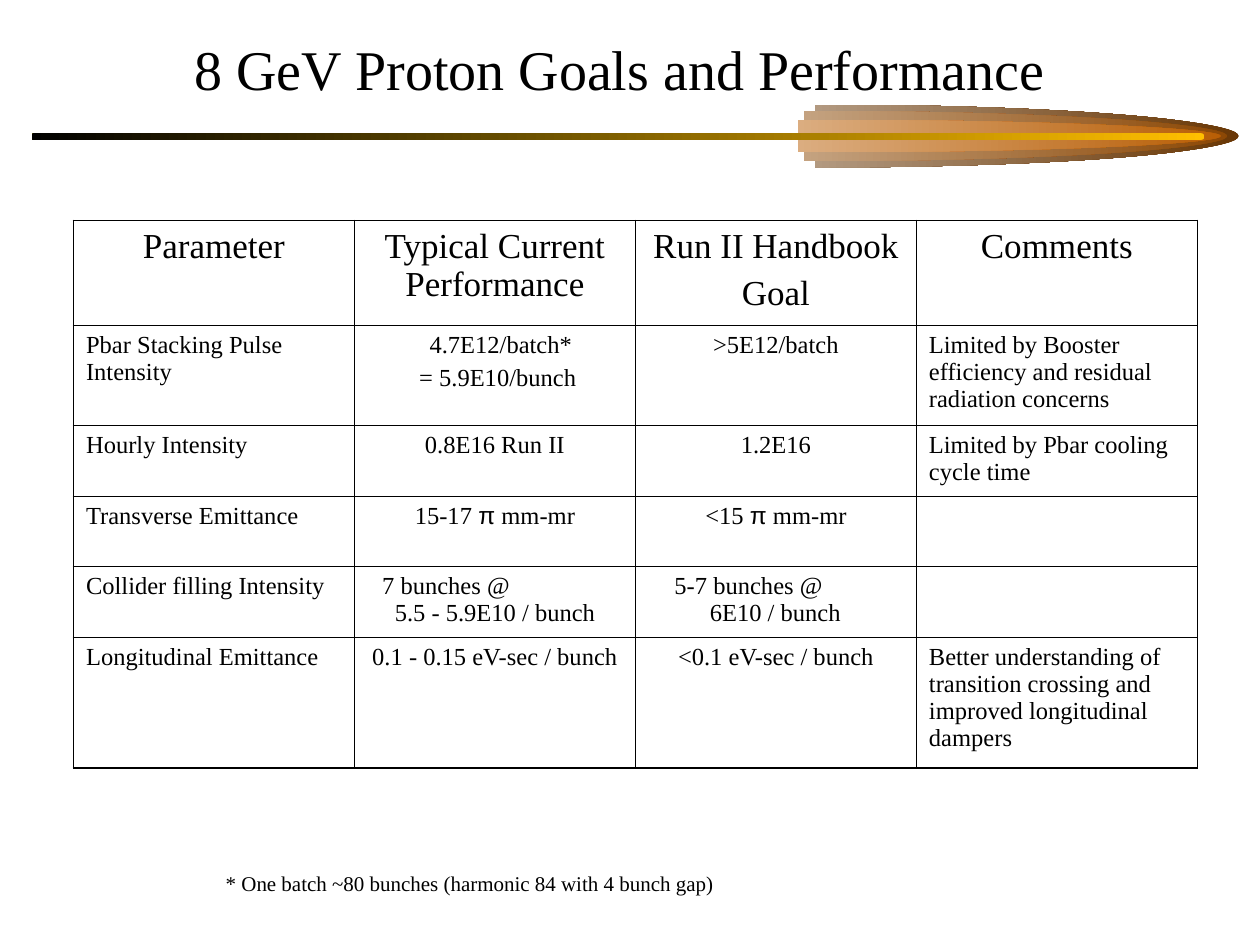
from dataclasses import dataclass
from itertools import groupby

from lxml.etree import SubElement as Sub
from pptx import Presentation
from pptx.dml.color import RGBColor as Rgb
from pptx.enum.shapes import MSO_SHAPE as Kind
from pptx.enum.text import MSO_ANCHOR as Anchor, MSO_AUTO_SIZE as Fit, PP_ALIGN as Align
from pptx.oxml.ns import qn
from pptx.util import Inches, Pt


@dataclass(frozen=True)
class Theme:
    font: str = "Times New Roman"
    greek: str = "Arial"
    ink: str = "000000"
    gold: str = "FFBF00"
    comet: tuple = (("663300", "B29980"), ("894400", "C4A280"), ("B75B00", "DBAD80"))
    title: int = 32
    head: int = 20
    body: int = 14
    note: int = 12
    thin: float = 0.45
    thick: float = 1.08


look = Theme()
deck = Presentation()
deck.slide_width, deck.slide_height = Inches(10), Inches(7.5)
unit = deck.slide_width // 100
slide = deck.slides.add_slide(deck.slide_layouts[5])


def grid(*cells):
    return [round(unit * c) for c in cells]


def write(par, text, size):
    for mark, part in groupby(text, lambda c: c if c in "π\n" else ""):
        if mark == "\n":
            par.add_line_break()
            continue
        run = par.add_run()
        run.text = "".join(part)
        run.font.size = Pt(size)
        run.font.name = look.greek if mark else look.font
        run.font.color.rgb = Rgb.from_string(look.ink)


group = slide.shapes.add_group_shape()
mid = 10.8
half = [(0, -1), (12, -1), (23.1, -0.8), (29.1, -0.48), (35.1, -0.16)]
curve = half + [(x, -y) for x, y in reversed(half)]
parts = []
for left, high in ((64.7, 2.5), (63.8, 2), (63.3, 1.3)):
    dots = [grid(left + x, mid + high * y) for x, y in curve]
    path = group.shapes.build_freeform(*dots[0])
    path.add_line_segments(dots[1:], close=True)
    shape = path.convert_to_shape()
    lines = list(shape._element.iter(qn("a:lnTo")))
    for first, *rest in zip(lines[::3], lines[1::3], lines[2::3]):
        first.tag = qn("a:cubicBezTo")
        for line in rest:
            first.append(line[0])
            line.getparent().remove(line)
    parts.append(shape)
bar = group.shapes.add_shape(Kind.ROUNDED_RECTANGLE, *grid(2.5, 10.57, 93.1, 0.53))
bar.adjustments[0] = 0.5
parts.append(bar)

for shape, tones in zip(parts, look.comet + ((look.gold, look.ink),)):
    shape.shadow.inherit = False
    shape.line.fill.background()
    shape.fill.gradient()
    shape.fill.gradient_angle = 180
    for stop, tone, place in zip(shape.fill.gradient_stops, tones, (0, 1)):
        stop.color.rgb = Rgb.from_string(tone)
        stop.position = place

title = slide.shapes.title
title.left, title.top, title.width, title.height = grid(6.7, 1.65, 85, 7.5)
frame = title.text_frame
frame.auto_size = Fit.NONE
frame.vertical_anchor = Anchor.MIDDLE
frame.paragraphs[0].alignment = Align.CENTER
write(frame.paragraphs[0], "8 GeV Proton Goals and Performance", look.title)

rows = [
    [["Parameter"], ["Typical Current Performance"], ["Run II Handbook", "Goal"], ["Comments"]],
    [["Pbar Stacking Pulse Intensity"], ["4.7E12/batch*", "= 5.9E10/bunch"], [">5E12/batch"],
     ["Limited by Booster efficiency and residual radiation concerns"]],
    [["Hourly Intensity"], ["0.8E16 Run II"], ["1.2E16"], ["Limited by Pbar cooling cycle time"]],
    [["Transverse Emittance"], ["15-17 π mm-mr"], ["<15 π mm-mr"], []],
    [["Collider filling Intensity"], ["7 bunches @\n5.5 - 5.9E10 / bunch"],
     ["5-7 bunches @\n6E10 / bunch"], []],
    [["Longitudinal Emittance"], ["0.1 - 0.15 eV-sec / bunch"], ["<0.1 eV-sec / bunch"],
     ["Better understanding of transition crossing and improved longitudinal dampers"]],
]
shifts = {(1, 1, 0): (0.95, 0), (1, 1, 1): (0.45, 0), (4, 1, 0): (2.2, -1), (4, 2, 0): (4.9, -2.8)}
tall = (8.33, 7.95, 5.62, 5.58, 5.62, 10.38)
wide = 22.3
count = len(rows[0])

table = slide.shapes.add_table(
    len(rows), count, *grid(5.83, 17.5, wide * count, sum(tall))).table
table.first_row = table.horz_banding = False
for col in table.columns:
    col.width = grid(wide)[0]
for r, row in enumerate(rows):
    table.rows[r].height = grid(tall[r])[0]
    size = look.body if r else look.head
    for c, texts in enumerate(row):
        cell = table.cell(r, c)
        outer = {"L": c == 0, "R": c == count - 1, "T": r == 0, "B": r == len(rows) - 1}
        props = cell._tc.get_or_add_tcPr()
        for side, edge in outer.items():
            line = Sub(props, qn("a:ln" + side), w=str(Pt(look.thick if edge else look.thin)))
            Sub(Sub(line, qn("a:solidFill")), qn("a:srgbClr"), val=look.ink)
        cell.fill.background()
        for n, text in enumerate(texts):
            par = cell.text_frame.add_paragraph() if n else cell.text_frame.paragraphs[0]
            par.alignment = Align.CENTER if r == 0 or c in (1, 2) else Align.LEFT
            if n:
                par.space_before = Pt(size / 4)
            if (r, c, n) in shifts:
                inset, hang = grid(*shifts[r, c, n])
                form = par._p.get_or_add_pPr()
                form.set("marL", str(inset))
                form.set("indent", str(hang))
                if hang:
                    par.alignment = Align.LEFT
            write(par, text, size)

note = slide.shapes.add_textbox(*grid(16.93, 68.6, 46.4, 3)).text_frame
note.word_wrap = True
write(note.paragraphs[0], "* One batch ~80 bunches (harmonic 84 with 4 bunch gap)", look.note)

deck.save("out.pptx")
